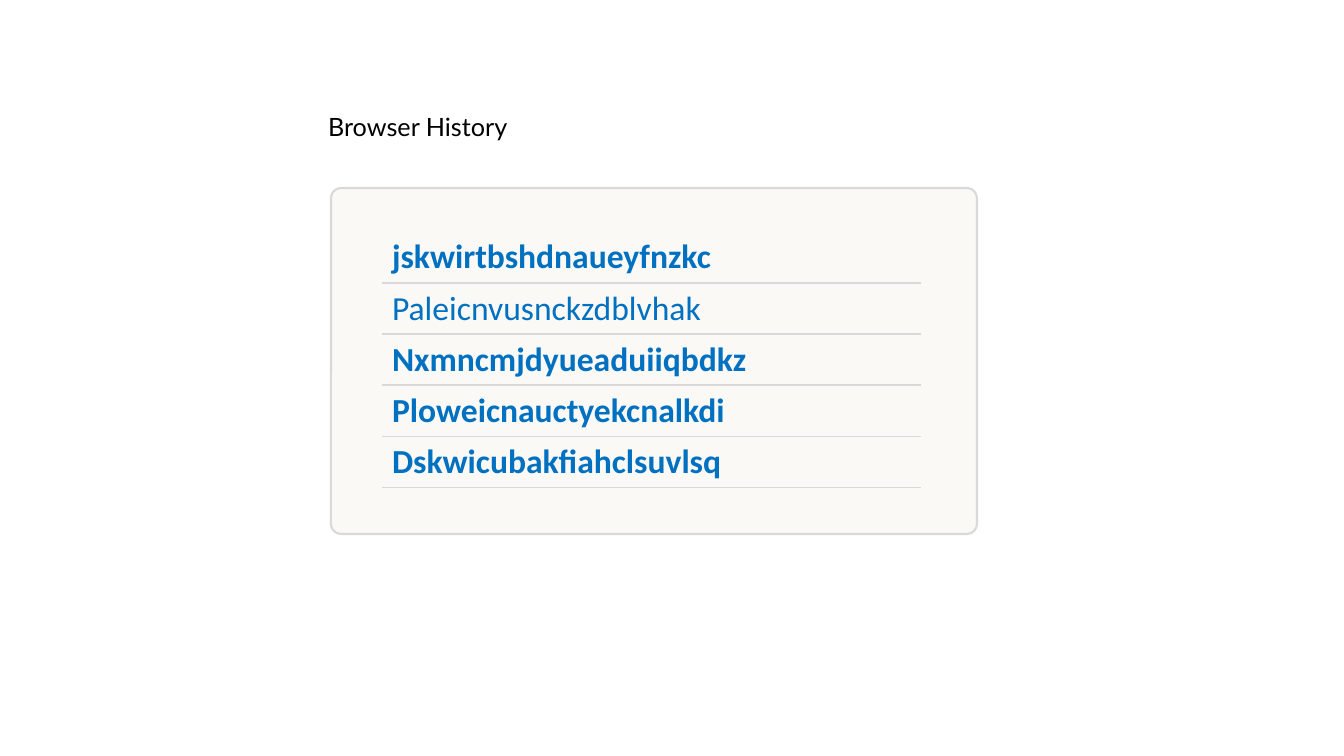
from lxml import etree
from pptx import Presentation
from pptx.dml.color import RGBColor
from pptx.enum.shapes import MSO_SHAPE
from pptx.enum.text import MSO_ANCHOR, MSO_AUTO_SIZE, PP_ALIGN
from pptx.oxml.ns import qn
from pptx.util import Emu, Pt

ROUNDED = MSO_SHAPE.ROUNDED_RECTANGLE
TOP, BOTTOM = MSO_ANCHOR.TOP, MSO_ANCHOR.BOTTOM
LEFT, JUSTIFY = PP_ALIGN.LEFT, PP_ALIGN.JUSTIFY
NO_AUTOFIT = MSO_AUTO_SIZE.NONE

SCALE = 914400 / 100.8
COLORS = {"panel": "FAF9F6", "rule": "D9D9D9", "link": "0070C0", "title": "000000"}
NO_STYLE = "{2D5ABB26-0587-4C30-8999-92F81FD0307C}"
RULE_PT = 1.5

ENTRIES = [
    ("jskwirtbshdnaueyfnzkc", True),
    ("Paleicnvusnckzdblvhak", False),
    ("Nxmncmjdyueaduiiqbdkz", True),
    ("Ploweicnauctyekcnalkdi", True),
    ("Dskwicubakfiahclsuvlsq", True),
]
COLUMNS = [44, 539, 47]
ROW_HEIGHT, LAST_ROW_HEIGHT = 51, 41
MERGES = [((1, 0), (2, 0)), ((1, 2), (2, 2)),
          ((3, 0), (4, 0)), ((3, 2), (4, 2)),
          ((5, 0), (5, 2))]


def px(n):
    return Emu(round(n * SCALE))


def color(name):
    return RGBColor.from_string(COLORS[name])


def write(tf, text, font, size, fill, bold=False, align=LEFT):
    p = tf.paragraphs[0]
    p.alignment = align
    r = p.add_run()
    r.text = text
    r.font.name = font
    r.font.size = Pt(size)
    r.font.bold = bold
    r.font.color.rgb = color(fill)


def add_title(s, text, x, y, w, h):
    sp = s.shapes.title
    sp.left, sp.top, sp.width, sp.height = px(x), px(y), px(w), px(h)
    tf = sp.text_frame
    tf.word_wrap = True
    tf.auto_size = NO_AUTOFIT
    tf.vertical_anchor = TOP
    write(tf, text, "Lato", 18, "title")


def add_panel(s, x, y, w, h):
    sp = s.shapes.add_shape(ROUNDED, px(x), px(y), px(w), px(h))
    sp.adjustments[0] = 0.03
    sp.shadow.inherit = False
    sp.fill.solid()
    sp.fill.fore_color.rgb = color("panel")
    sp.line.color.rgb = color("rule")
    sp.line.width = Pt(RULE_PT)


def add_border(cell, side):
    tc_pr = cell._tc.get_or_add_tcPr()
    ln = etree.SubElement(tc_pr, qn(f"a:{side}"), w=str(Pt(RULE_PT)))
    fill = etree.SubElement(ln, qn("a:solidFill"))
    etree.SubElement(fill, qn("a:srgbClr"), val=COLORS["rule"])


def add_history(s, x, y):
    heights = [ROW_HEIGHT] * len(ENTRIES) + [LAST_ROW_HEIGHT]
    frame = s.shapes.add_table(len(heights), len(COLUMNS), px(x), px(y),
                               px(sum(COLUMNS)), px(sum(heights)))
    table = frame.table
    table.first_row = table.horz_banding = False
    table._tbl.tblPr.find(qn("a:tableStyleId")).text = NO_STYLE
    for column, width in zip(table.columns, COLUMNS):
        column.width = px(width)
    for row, height in zip(table.rows, heights):
        row.height = px(height)
    for i, (text, bold) in enumerate(ENTRIES):
        cell = table.cell(i, 1)
        cell.vertical_anchor = BOTTOM
        write(cell.text_frame, text, "Calibri", 24, "link", bold=bold, align=JUSTIFY)
        if i:
            add_border(cell, "lnT")
        add_border(cell, "lnB")
    for first, last in MERGES:
        table.cell(*first).merge(table.cell(*last))
    for cell in table.iter_cells():
        cell.fill.background()


def main():
    prs = Presentation()
    prs.slide_width, prs.slide_height = px(1344), px(756)
    s = prs.slides.add_slide(prs.slide_layouts[5])
    add_title(s, "Browser History", 318, 106, 672, 40)
    add_panel(s, 331, 188, 646, 346)
    add_history(s, 338, 232)
    prs.save("out.pptx")


if __name__ == "__main__":
    main()
